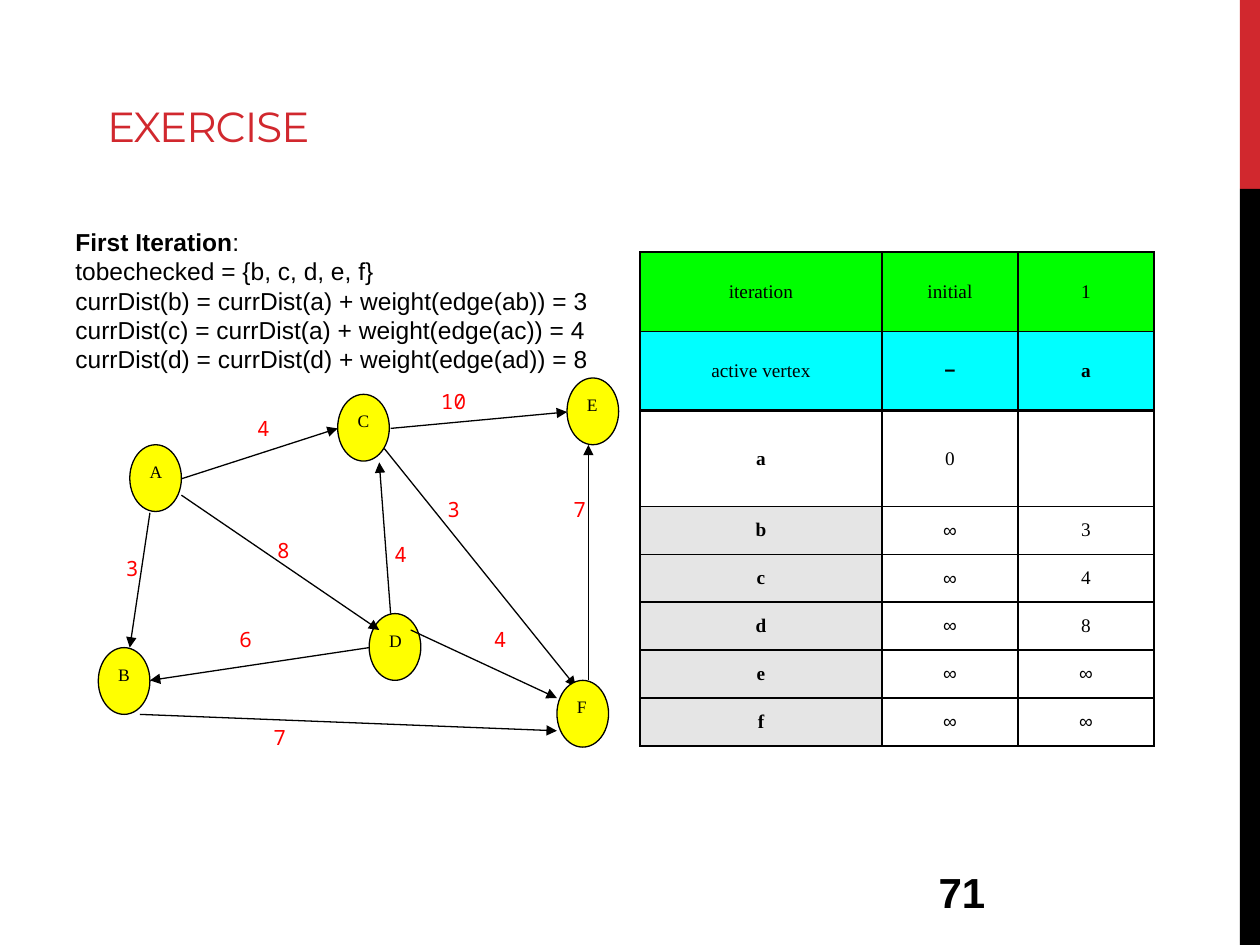
from lxml.etree import SubElement
from pptx import Presentation
from pptx.dml.color import RGBColor
from pptx.enum.shapes import MSO_CONNECTOR, MSO_SHAPE
from pptx.enum.text import MSO_ANCHOR, PP_ALIGN
from pptx.oxml.ns import qn
from pptx.util import Inches, Pt

RED = RGBColor(0xD1, 0x28, 0x2E)
LABEL_RED = RGBColor(0xFF, 0x00, 0x00)
BLACK = RGBColor(0x00, 0x00, 0x00)
YELLOW = RGBColor(0xFF, 0xFF, 0x00)
GREEN = RGBColor(0x00, 0xFF, 0x00)
CYAN = RGBColor(0x00, 0xFF, 0xFF)
GRAY = RGBColor(0xE5, 0xE5, 0xE5)

SERIF = "Times New Roman"
SANS = "Arial"
MONO = "Noto Sans Mono"

NODE_WIDTH, NODE_HEIGHT = 0.41, 0.53
NODES = {
    "A": (1.03, 3.53),
    "C": (2.68, 3.13),
    "B": (0.78, 5.14),
    "D": (2.93, 4.87),
    "E": (4.5, 3),
    "F": (4.42, 5.4),
}
EDGE_BEHIND_NODES = (3.05, 3.56, 4.57, 5.45)
EDGES = [
    (1.44, 3.8, 2.68, 3.4),
    (1.19, 4.07, 1.03, 5.14),
    (3.26, 5, 4.42, 5.54),
    (4.67, 5.4, 4.67, 3.53),
    (2.93, 5.14, 1.19, 5.4),
    (1.44, 3.93, 3.01, 5),
    (3.1, 4.87, 3.01, 3.67),
    (3.1, 3.4, 4.5, 3.27),
    (1.11, 5.67, 4.42, 5.8),
]
WEIGHTS = [
    ("3", 3.45, 3.89), ("7", 4.45, 3.89), ("6", 1.8, 4.92), ("7", 2.07, 5.7),
    ("4", 3.82, 4.92), ("3", 0.9, 4.36), ("4", 1.94, 3.25), ("10", 3.45, 3.03),
    ("8", 2.1, 4.22), ("4", 3.03, 4.25),
]
STEPS = [
    "tobechecked = {b, c, d, e, f}",
    "currDist(b) = currDist(a) + weight(edge(ab)) = 3",
    "currDist(c) = currDist(a) + weight(edge(ac)) = 4",
    "currDist(d) = currDist(d) + weight(edge(ad)) = 8",
]
COLUMN_WIDTHS = [1.92, 1.08, 1.08]
ROW_HEIGHTS = [0.63, 0.63, 0.76] + [0.38] * 5
DISTANCES = [
    ["iteration", "initial", "1"],
    ["active vertex", "−", "a"],
    ["a", "0", ""],
    ["b", "∞", "3"],
    ["c", "∞", "4"],
    ["d", "∞", "8"],
    ["e", "∞", "∞"],
    ["f", "∞", "∞"],
]


def write(para, text, size=14, font=SANS, color=BLACK, bold=False, align=None):
    if align is not None:
        para.alignment = align
    span = para.add_run()
    span.text = text
    span.font.size = Pt(size)
    span.font.name = font
    span.font.color.rgb = color
    span.font.bold = bold
    return span


def add_box(page, left, top, width, height, anchor=MSO_ANCHOR.MIDDLE):
    box = page.shapes.add_textbox(Inches(left), Inches(top), Inches(width), Inches(height))
    box.text_frame.word_wrap = True
    box.text_frame.vertical_anchor = anchor
    return box.text_frame


def add_shape(page, kind, left, top, width, height, color):
    shape = page.shapes.add_shape(kind, Inches(left), Inches(top), Inches(width), Inches(height))
    shape.shadow.inherit = False
    shape.fill.solid()
    shape.fill.fore_color.rgb = color
    shape.line.fill.background()
    return shape


def add_title(page, text):
    title = page.shapes.title
    title.left, title.top = Inches(0.75), Inches(0.17)
    title.width, title.height = Inches(7.5), Inches(1.08)
    title.text_frame.vertical_anchor = MSO_ANCHOR.BOTTOM
    span = write(title.text_frame.paragraphs[0], text, size=24, font="Montserrat",
                 color=RED, align=PP_ALIGN.LEFT)
    span.font._element.set("spc", "-60")


def add_node(page, name, left, top):
    node = add_shape(page, MSO_SHAPE.OVAL, left, top, NODE_WIDTH, NODE_HEIGHT, YELLOW)
    node.line.color.rgb = BLACK
    node.line.width = Pt(0.75)
    node.text_frame.vertical_anchor = MSO_ANCHOR.TOP
    write(node.text_frame.paragraphs[0], name, size=10, font=SERIF, align=PP_ALIGN.JUSTIFY)


def add_edge(page, start_x, start_y, end_x, end_y):
    edge = page.shapes.add_connector(MSO_CONNECTOR.STRAIGHT, Inches(start_x), Inches(start_y),
                                     Inches(end_x), Inches(end_y))
    edge.line.color.rgb = BLACK
    edge.line.width = Pt(0.75)
    SubElement(edge.line._get_or_add_ln(), qn("a:tailEnd"), type="triangle")
    SubElement(edge._element.spPr, qn("a:effectLst"))


def add_weight(page, text, left, top):
    frame = add_box(page, left, top, 0.3, 0.3)
    frame.word_wrap = False
    frame.margin_left = frame.margin_right = 0
    write(frame.paragraphs[0], text, size=12, font=MONO, color=LABEL_RED, align=PP_ALIGN.CENTER)


def add_steps(page):
    frame = add_box(page, 0.5, 1.75, 4.75, 1.29, anchor=MSO_ANCHOR.TOP)
    heading = frame.paragraphs[0]
    write(heading, "First Iteration", bold=True)
    write(heading, ":")
    for step in STEPS:
        write(frame.add_paragraph(), step)


def set_borders(cell, top=1, bottom=1):
    properties = cell._tc.get_or_add_tcPr()
    for side, width in (("L", 1), ("R", 1), ("T", top), ("B", bottom)):
        border = SubElement(properties, qn(f"a:ln{side}"), w=str(Pt(width)))
        fill = SubElement(border, qn("a:solidFill"))
        SubElement(fill, qn("a:srgbClr"), val=str(BLACK))


def cell_color(row, column):
    if row < 2:
        return (GREEN, CYAN)[row]
    return GRAY if row > 2 and column == 0 else None


def format_cell(cell, text, row, column):
    set_borders(cell, top=2 if row == 2 else 1, bottom=2 if row == 1 else 1)
    color = cell_color(row, column)
    if color is None:
        cell.fill.background()
    else:
        cell.fill.solid()
        cell.fill.fore_color.rgb = color
    cell.vertical_anchor = MSO_ANCHOR.MIDDLE
    if text:
        bold = (row == 1 and column > 0) or (row > 1 and column == 0)
        write(cell.text_frame.paragraphs[0], text, size=11, bold=bold,
              font=SANS if text in "−∞" else SERIF, align=PP_ALIGN.CENTER)


def add_distances(page):
    frame = page.shapes.add_table(len(ROW_HEIGHTS), len(COLUMN_WIDTHS), Inches(5.08), Inches(2),
                                  Inches(sum(COLUMN_WIDTHS)), Inches(sum(ROW_HEIGHTS)))
    table = frame.table
    table.first_row = table.horz_banding = False
    for column, width in zip(table.columns, COLUMN_WIDTHS):
        column.width = Inches(width)
    for row, height in enumerate(ROW_HEIGHTS):
        table.rows[row].height = Inches(height)
        for column, text in enumerate(DISTANCES[row]):
            format_cell(table.cell(row, column), text, row, column)


def add_graph(page):
    add_edge(page, *EDGE_BEHIND_NODES)
    for name, place in NODES.items():
        add_node(page, name, *place)
    for edge in EDGES:
        add_edge(page, *edge)
    for weight in WEIGHTS:
        add_weight(page, *weight)


def main():
    deck = Presentation()
    deck.slide_width, deck.slide_height = Inches(10), Inches(7.5)
    page = deck.slides.add_slide(deck.slide_layouts[5])
    add_shape(page, MSO_SHAPE.RECTANGLE, 9.84, 0, 0.16, 1.5, RED)
    add_shape(page, MSO_SHAPE.RECTANGLE, 9.84, 1.5, 0.16, 6, BLACK)
    add_title(page, "EXERCISE")
    add_distances(page)
    number = add_box(page, 7.35, 6.83, 2.08, 0.5)
    write(number.paragraphs[0], "71", size=24, bold=True)
    add_steps(page)
    add_graph(page)
    deck.save("out.pptx")


if __name__ == "__main__":
    main()
